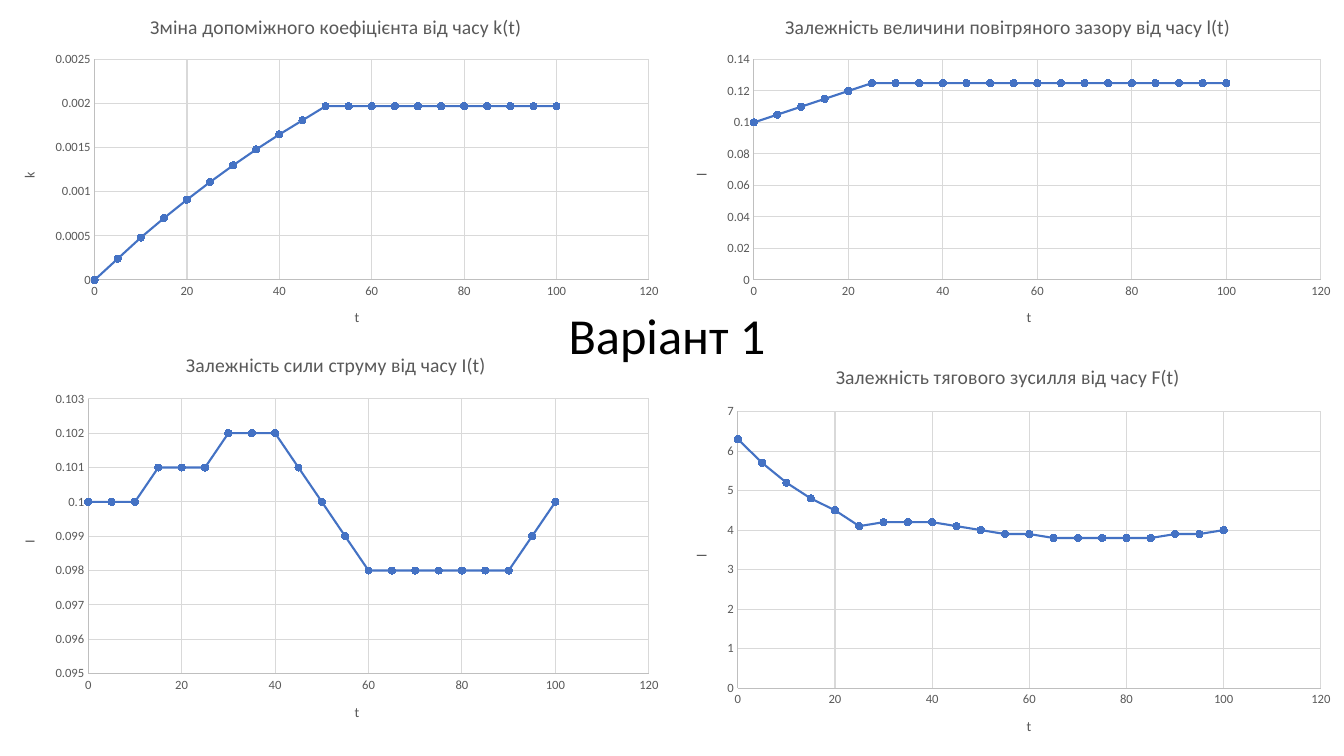
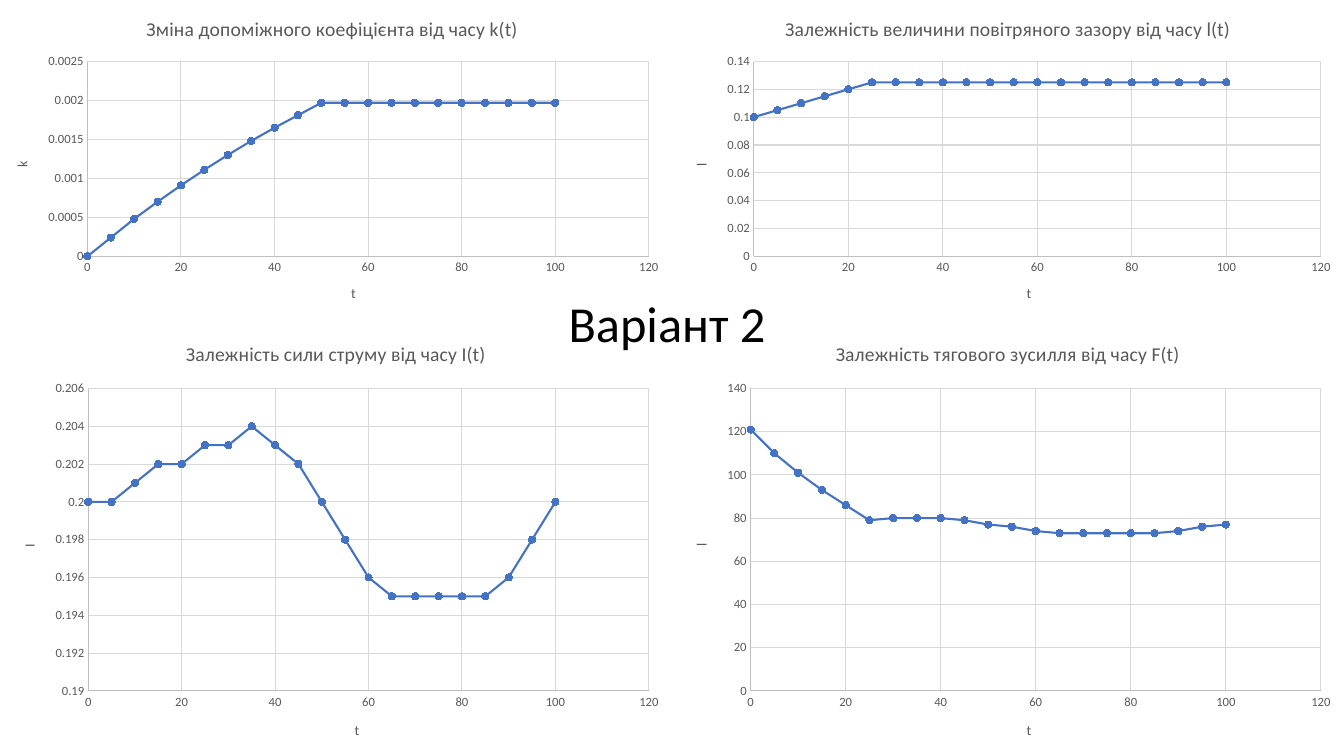
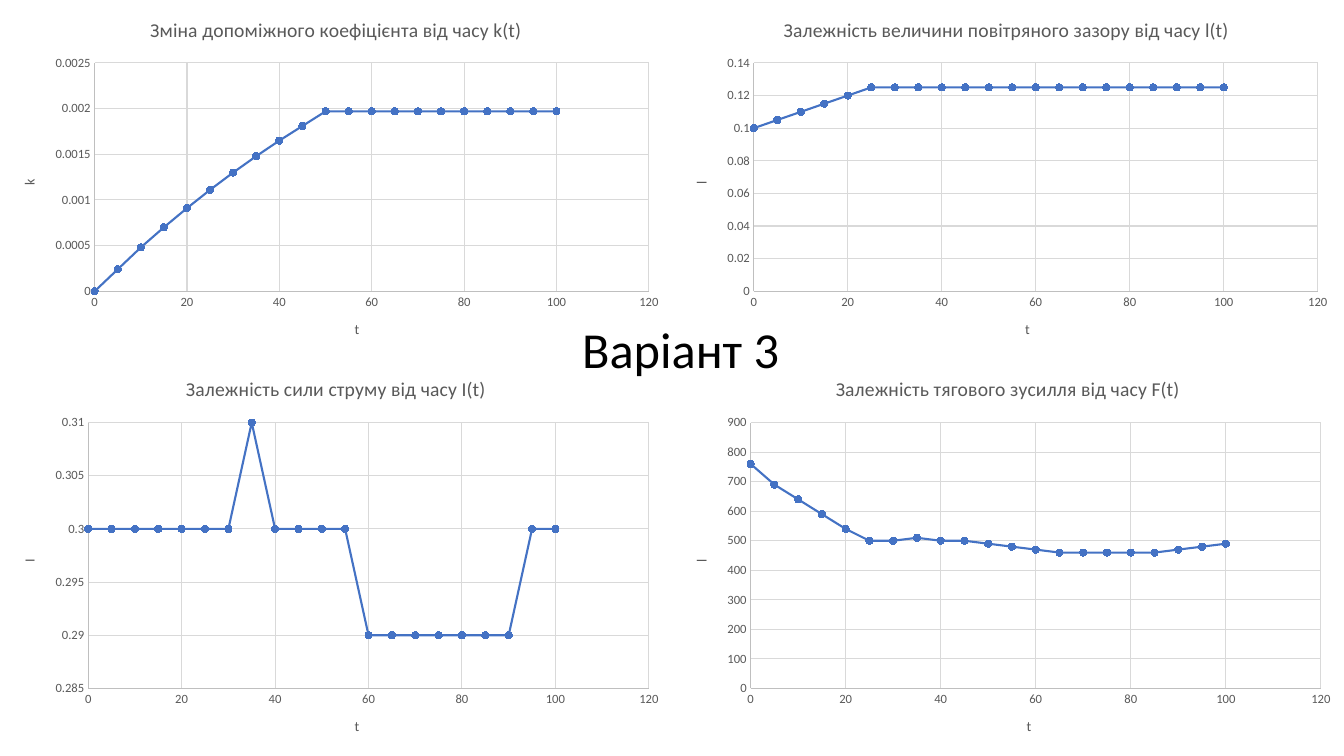
from dataclasses import dataclass

from pptx import Presentation
from pptx import util as u
from pptx.chart.data import XyChartData
from pptx.dml.color import RGBColor
from pptx.enum import chart as kinds, text

PX = 9525


@dataclass(frozen=True)
class Theme:
    font: str = "Calibri"
    ink: str = "000000"
    muted: str = "595959"
    axis: str = "BFBFBF"
    grid: str = "D9D9D9"
    series: str = "4472C4"
    label_size: int = 36
    title_size: int = 14
    axis_title_size: int = 10
    tick_size: int = 9
    thin: float = 0.75
    thick: float = 1.5
    marker: int = 5


@dataclass(frozen=True)
class Graph:
    title: str
    symbol: str
    values: list
    low: float
    high: float
    step: float


THEME = Theme()
TIMES = range(0, 101, 5)

COEFFICIENT = Graph(
    "Зміна допоміжного коефіцієнта від часу k(t)", "k",
    [0, 0.00024, 0.00048, 0.0007, 0.00091, 0.00111, 0.0013, 0.00148,
     0.00165, 0.00181] + [0.00197] * 11,
    0, 0.0025, 0.0005)
GAP = Graph(
    "Залежність величини повітряного зазору від часу l(t)", "l",
    [0.1, 0.105, 0.11, 0.115, 0.12] + [0.125] * 16,
    0, 0.14, 0.02)


def current(values, low, high, step):
    return Graph("Залежність сили струму від часу I(t)", "I",
                 values, low, high, step)


def force(values, high, step):
    return Graph("Залежність тягового зусилля від часу F(t)", "l",
                 values, 0, high, step)


VARIANTS = [
    ("Варіант 1", (532, 284, 217, 68), [
        (current([0.1, 0.1, 0.1, 0.101, 0.101, 0.101, 0.102, 0.102, 0.102,
                  0.101, 0.1, 0.099] + [0.098] * 7 + [0.099, 0.1],
                 0.095, 0.103, 0.001), (0, 318, 640, 388)),
        (COEFFICIENT, (0, -3, 640, 333)),
        (GAP, (640, -3, 640, 333)),
        (force([6.3, 5.7, 5.2, 4.8, 4.5, 4.1, 4.2, 4.2, 4.2, 4.1, 4, 3.9, 3.9]
               + [3.8] * 5 + [3.9, 3.9, 4], 7, 1), (640, 330, 640, 390)),
    ]),
    ("Варіант 2", (532, 273, 217, 68), [
        (current([0.2, 0.2, 0.201, 0.202, 0.202, 0.203, 0.203, 0.204, 0.203,
                  0.202, 0.2, 0.198, 0.196] + [0.195] * 5
                 + [0.196, 0.198, 0.2],
                 0.19, 0.206, 0.002), (0, 307, 640, 416)),
        (COEFFICIENT, (-7, 0, 647, 307)),
        (GAP, (640, 0, 640, 307)),
        (force([121, 110, 101, 93, 86, 79, 80, 80, 80, 79, 77, 76, 74]
               + [73] * 5 + [74, 76, 77], 140, 20), (640, 307, 640, 416)),
    ]),
    ("Варіант 3", (545, 298, 217, 68), [
        (current([0.3] * 7 + [0.31] + [0.3] * 4 + [0.29] * 7 + [0.3] * 2,
                 0.285, 0.31, 0.005), (0, 341, 640, 379)),
        (COEFFICIENT, (0, 0, 640, 341)),
        (GAP, (640, 0, 637, 341)),
        (force([760, 690, 640, 590, 540, 500, 500, 510, 500, 500, 490, 480,
                470] + [460] * 5 + [470, 480, 490], 900, 100),
         (640, 341, 640, 379)),
    ]),
]


def scaled(box):
    return [u.Emu(length * PX) for length in box]


def style_font(font, size, color):
    font.name = THEME.font
    font.size = u.Pt(size)
    font.bold = False
    font.color.rgb = RGBColor.from_string(color)


def style_line(line, color, width):
    line.color.rgb = RGBColor.from_string(color)
    line.width = u.Pt(width)


def write(frame, content, size, color):
    frame.text = content
    for span in frame.paragraphs[0].runs:
        style_font(span.font, size, color)


def style_axis(axis, title, low, high, step):
    axis.minimum_scale, axis.maximum_scale = low, high
    axis.major_unit = step
    axis.major_tick_mark = kinds.XL_TICK_MARK.NONE
    axis.minor_tick_mark = kinds.XL_TICK_MARK.NONE
    axis.has_major_gridlines = True
    style_line(axis.major_gridlines.format.line, THEME.grid, THEME.thin)
    style_line(axis.format.line, THEME.axis, THEME.thin)
    style_font(axis.tick_labels.font, THEME.tick_size, THEME.muted)
    axis.tick_labels.number_format = "General"
    axis.tick_labels.number_format_is_linked = False
    write(axis.axis_title.text_frame, title, THEME.axis_title_size, THEME.muted)


def style_series(series):
    series.smooth = False
    style_line(series.format.line, THEME.series, THEME.thick)
    marker = series.marker
    marker.style = kinds.XL_MARKER_STYLE.CIRCLE
    marker.size = THEME.marker
    marker.format.fill.solid()
    marker.format.fill.fore_color.rgb = RGBColor.from_string(THEME.series)
    style_line(marker.format.line, THEME.series, THEME.thin)


def add_graph(page, graph, box):
    data = XyChartData()
    points = data.add_series("Series 1")
    for time, value in zip(TIMES, graph.values):
        points.add_data_point(time, value)
    chart = page.shapes.add_chart(
        kinds.XL_CHART_TYPE.XY_SCATTER_LINES, *scaled(box), data).chart
    style_font(chart.font, THEME.axis_title_size, THEME.ink)
    chart.has_legend = False
    chart.has_title = True
    chart.chart_title.include_in_layout = False
    write(chart.chart_title.text_frame, graph.title,
          THEME.title_size, THEME.muted)
    chart.plots[0].vary_by_categories = False
    style_axis(chart.category_axis, "t", 0, 120, 20)
    style_axis(chart.value_axis, graph.symbol, graph.low, graph.high, graph.step)
    body = chart.value_axis.axis_title.text_frame._txBody.bodyPr
    body.set("rot", "-5400000")
    body.set("vert", "horz")
    style_series(chart.plots[0].series[0])


def add_label(page, content, box):
    frame = page.shapes.add_textbox(*scaled(box)).text_frame
    frame.word_wrap = True
    frame.auto_size = text.MSO_AUTO_SIZE.SHAPE_TO_FIT_TEXT
    frame.vertical_anchor = text.MSO_ANCHOR.MIDDLE
    write(frame, content, THEME.label_size, THEME.ink)


def add_variant(deck, label, label_box, graphs):
    page = deck.slides.add_slide(deck.slide_layouts[6])
    for graph, box in graphs:
        add_graph(page, graph, box)
    add_label(page, label, label_box)


def main():
    deck = Presentation()
    deck.slide_width, deck.slide_height = scaled((1280, 720))
    for variant in VARIANTS:
        add_variant(deck, *variant)
    deck.save("out.pptx")


if __name__ == "__main__":
    main()
